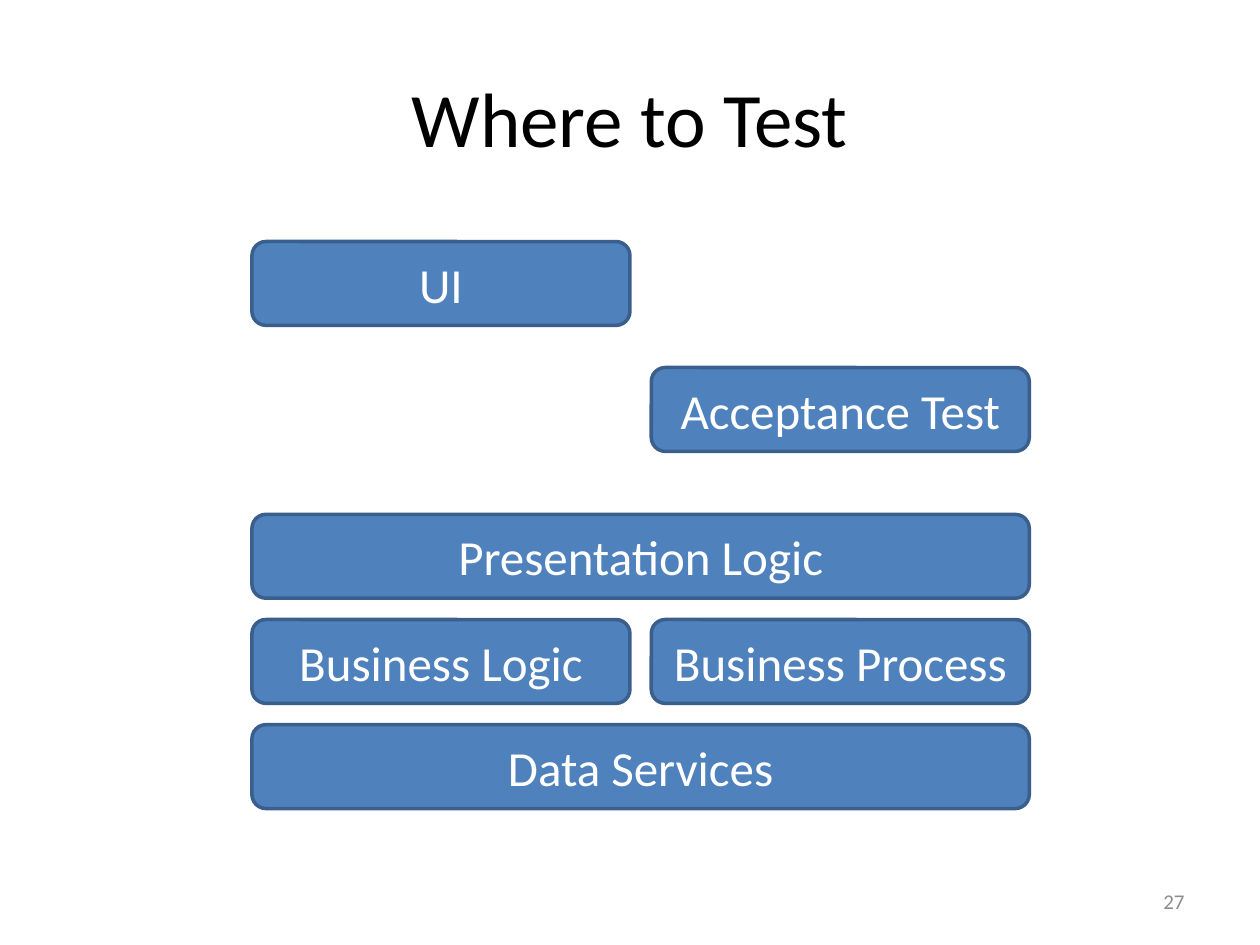
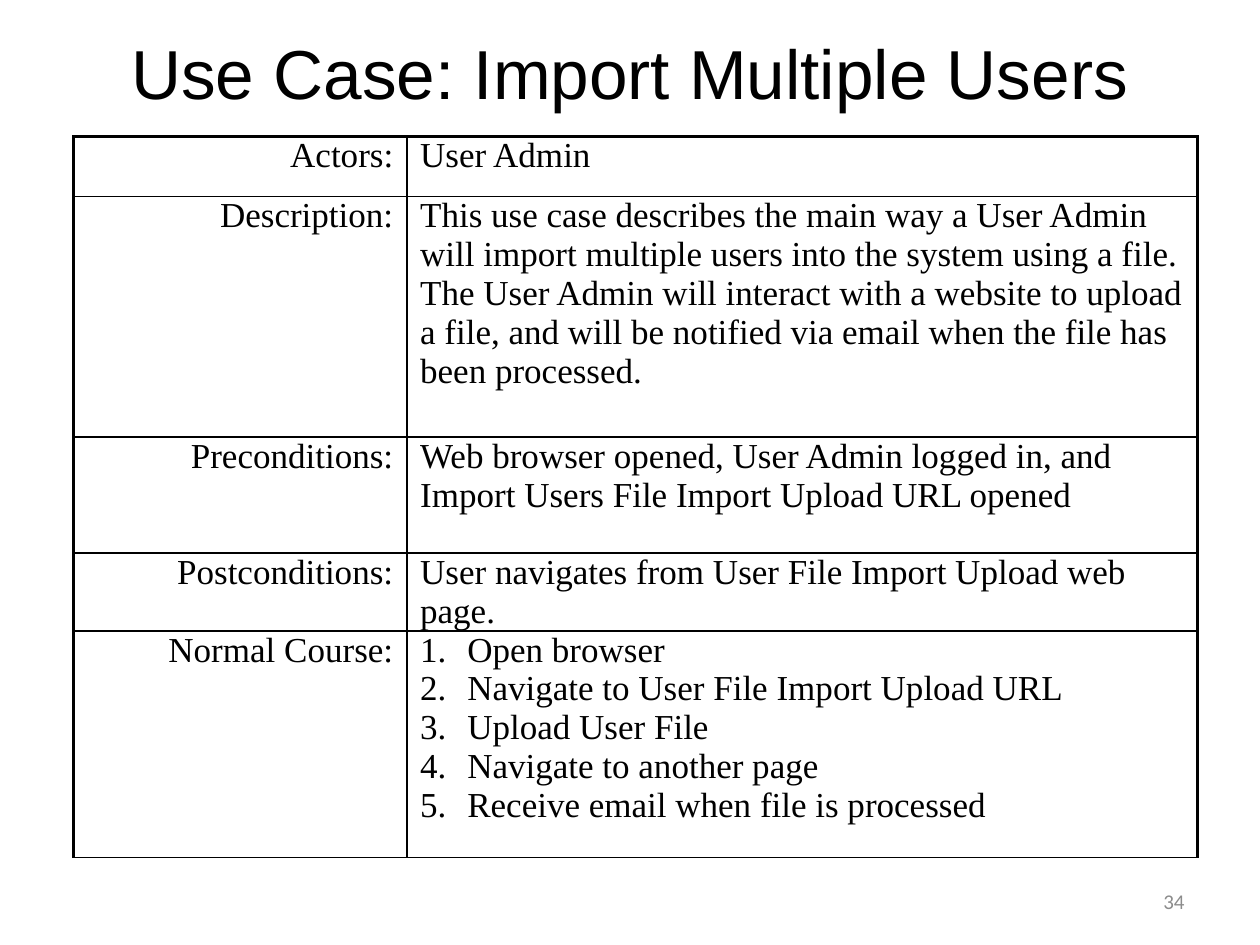
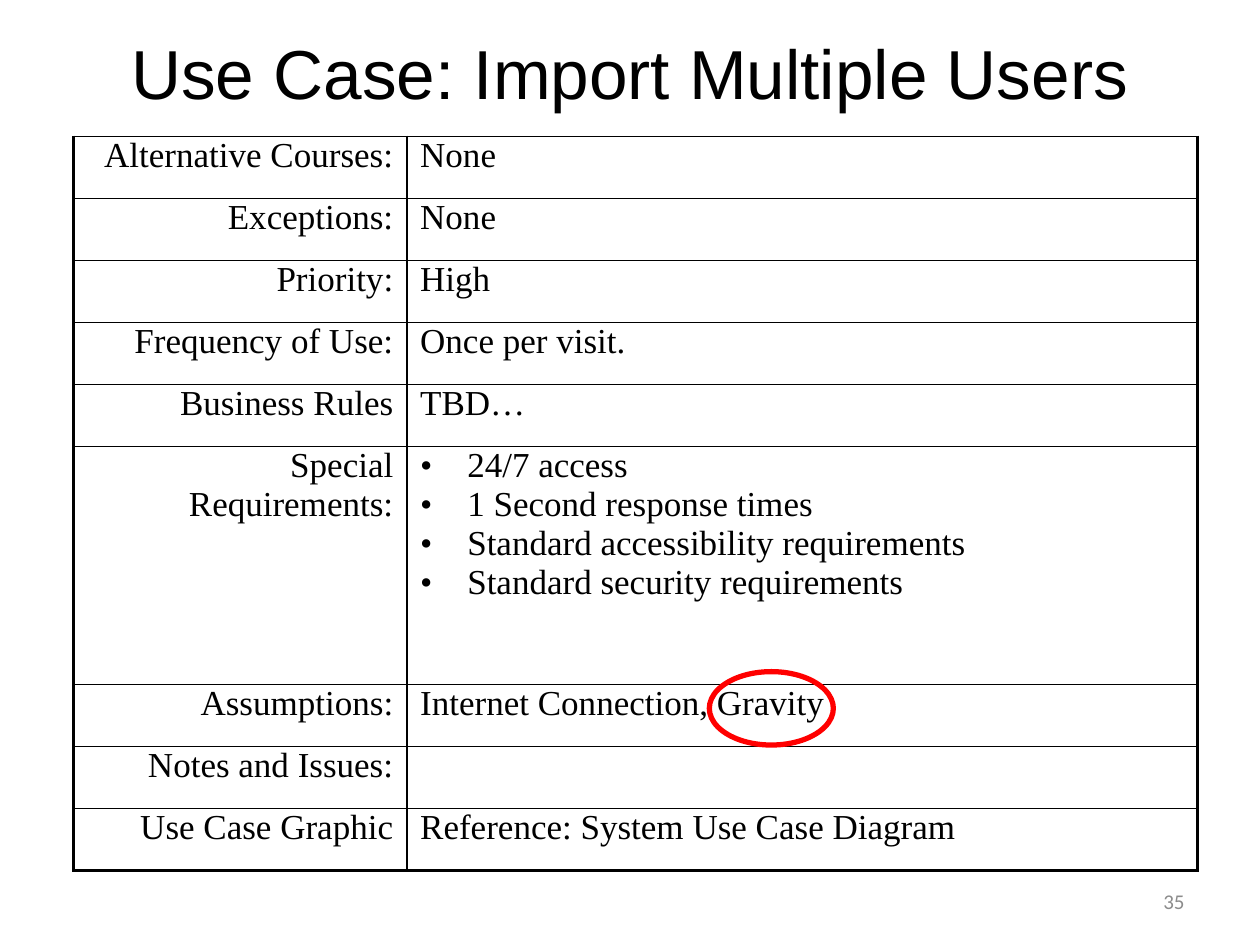
import dataclasses
import typing

import lxml.etree
import pptx
import pptx.dml.color
import pptx.enum.shapes
import pptx.enum.text
import pptx.oxml.ns
import pptx.presentation
import pptx.slide
import pptx.util

Cm = pptx.util.Cm
Pt = pptx.util.Pt
qn = pptx.oxml.ns.qn
Align = pptx.enum.text.PP_ALIGN
Preset = pptx.enum.shapes.MSO_SHAPE
MIDDLE = pptx.enum.text.MSO_ANCHOR.MIDDLE


class Style(typing.NamedTuple):
    font: str
    size: float
    color: str


class Area(typing.NamedTuple):
    """A rectangle in centimetres."""
    left: float
    top: float
    width: float
    height: float

    def lengths(self) -> list[pptx.util.Length]:
        return [Cm(value) for value in self]


@dataclasses.dataclass(frozen=True)
class Theme:
    title: Style = Style("Calibri", 44, "000000")
    use_case_title: Style = Style("Arial", 39.6, "000000")
    layer: Style = Style("Calibri", 28, "FFFFFF")
    field: Style = Style("Times New Roman", 20, "000000")
    number: Style = Style("Calibri", 12, "8C8C8C")
    layer_fill: str = "4F81BD"
    layer_line: str = "3A5F8C"
    rule: str = "000000"
    highlight: str = "FF0000"
    thin: float = 1
    thick: float = 1.5


THEME = Theme()
TITLE_AREA = Area(1.27, 0.76, 22.86, 3.18)
USE_CASE_TITLE_AREA = Area(1.27, 0.76, 22.86, 1.37)
NUMBER_AREA = Area(18.2, 17.65, 5.93, 1.02)

STACK_LEFT, LAYER_WIDTH, LAYER_HEIGHT, LAYER_GAP = 5.08, 7.62, 1.69, 0.43
UI_TOP, TEST_TOP, STACK_TOP = 4.87, 7.41, 10.37

TABLE_LEFT, TABLE_TOP = 1.48, 2.75
COLUMN_WIDTHS = (6.72, 15.94)
CELL_INSET, LIST_INDENT = 0.27, 0.95


class Layer(typing.NamedTuple):
    label: str
    top: float
    column: int = 0
    span: int = 1


class Field(typing.NamedTuple):
    label: str
    lines: tuple[str, ...]
    height: float
    bullet: tuple[str, str, str] | None = None


NUMBERED = ("a:buAutoNum", "type", "arabicPeriod")
DOTTED = ("a:buChar", "char", "•")


def stack_top(level: int) -> float:
    return STACK_TOP + level * (LAYER_HEIGHT + LAYER_GAP)


LAYERS = (
    Layer("UI", UI_TOP),
    Layer("Acceptance Test", TEST_TOP, column=1),
    Layer("Presentation Logic", stack_top(0), span=2),
    Layer("Business Logic", stack_top(1)),
    Layer("Data Services", stack_top(2), span=2),
    Layer("Business Process", stack_top(1), column=1),
)

MAIN_FIELDS = (
    Field("Actors:", ("User Admin",), 1.21),
    Field("Description:", (
        "This use case describes the main way a User Admin will import multiple users into "
        "the system using a file. The User Admin will interact with a website to upload a "
        "file, and will be notified via email when the file has been processed.",), 4.85),
    Field("Preconditions:", (
        "Web browser opened, User Admin logged in, and Import Users File Import Upload URL "
        "opened",), 2.34),
    Field("Postconditions:", ("User navigates from User File Import Upload web page.",), 1.21),
    Field("Normal Course:", (
        "Open browser",
        "Navigate to User File Import Upload URL",
        "Upload User File",
        "Navigate to another page",
        "Receive email when file is processed"), 4.57, NUMBERED),
)

# The requirements row leaves the table ending above the slide number.
SHORT_ROW, REQUIREMENTS_ROW = 1.25, 4.8
FURTHER_FIELDS = (
    Field("Alternative Courses:", ("None",), SHORT_ROW),
    Field("Exceptions:", ("None",), SHORT_ROW),
    Field("Priority:", ("High",), SHORT_ROW),
    Field("Frequency of Use:", ("Once per visit.",), SHORT_ROW),
    Field("Business Rules", ("TBD…",), SHORT_ROW),
    Field("Special Requirements:", (
        "24/7 access",
        "1 Second response times",
        "Standard accessibility requirements",
        "Standard security requirements"), REQUIREMENTS_ROW, DOTTED),
    Field("Assumptions:", ("Internet Connection, Gravity",), SHORT_ROW),
    Field("Notes and Issues:", (), SHORT_ROW),
    Field("Use Case Graphic", ("Reference: System Use Case Diagram",), SHORT_ROW),
)
ASSUMPTIONS_TOP = TABLE_TOP + 5 * SHORT_ROW + REQUIREMENTS_ROW
GRAVITY_AREA = Area(14.3, ASSUMPTIONS_TOP - 0.26, 2.5, 1.48)


def rgb(color: str) -> pptx.dml.color.RGBColor:
    return pptx.dml.color.RGBColor.from_string(color)


def write(paragraph, text: str, style: Style, align: Align) -> None:
    paragraph.alignment = align
    run = paragraph.add_run()
    run.text = text
    run.font.name = style.font
    run.font.size = Pt(style.size)
    run.font.color.rgb = rgb(style.color)


def add_slide(deck: pptx.presentation.Presentation, title: str, style: Style,
              area: Area) -> pptx.slide.Slide:
    slide = deck.slides.add_slide(deck.slide_layouts.get_by_name("Title Only"))
    heading = slide.shapes.title
    heading.left, heading.top, heading.width, heading.height = area.lengths()
    heading.text_frame.vertical_anchor = MIDDLE
    heading.text_frame.auto_size = pptx.enum.text.MSO_AUTO_SIZE.NONE
    write(heading.text_frame.paragraphs[0], title, style, Align.CENTER)
    return slide


def add_number(slide: pptx.slide.Slide, number: int) -> None:
    frame = slide.shapes.add_textbox(*NUMBER_AREA.lengths()).text_frame
    frame.word_wrap = True
    frame.vertical_anchor = MIDDLE
    write(frame.paragraphs[0], str(number), THEME.number, Align.RIGHT)


def add_outlined(slide: pptx.slide.Slide, preset: Preset, area: Area, color: str, weight: float):
    """Add an unfilled, shadowless preset shape."""
    shape = slide.shapes.add_shape(preset, *area.lengths())
    shape.shadow.inherit = False
    shape.fill.background()
    shape.line.color.rgb = rgb(color)
    shape.line.width = Pt(weight)
    return shape


def add_layer(slide: pptx.slide.Slide, layer: Layer) -> None:
    left = STACK_LEFT + layer.column * (LAYER_WIDTH + LAYER_GAP)
    width = layer.span * LAYER_WIDTH + (layer.span - 1) * LAYER_GAP
    area = Area(left, layer.top, width, LAYER_HEIGHT)
    box = add_outlined(slide, Preset.ROUNDED_RECTANGLE, area, THEME.layer_line, 2)
    box.fill.solid()
    box.fill.fore_color.rgb = rgb(THEME.layer_fill)
    box.text_frame.vertical_anchor = MIDDLE
    write(box.text_frame.paragraphs[0], layer.label, THEME.layer, Align.CENTER)


def set_borders(cell, weights: dict[str, float]) -> None:
    """Draw the cell's sides; weights must run in the order L, R, T, B."""
    properties = cell._tc.get_or_add_tcPr()
    for position, (side, weight) in enumerate(weights.items()):
        line = lxml.etree.Element(qn(f"a:ln{side}"), w=str(int(Pt(weight))))
        fill = lxml.etree.SubElement(line, qn("a:solidFill"))
        lxml.etree.SubElement(fill, qn("a:srgbClr"), val=THEME.rule)
        properties.insert(position, line)


def set_bullet(paragraph, bullet: tuple[str, str, str]) -> None:
    tag, attribute, value = bullet
    properties = paragraph._p.get_or_add_pPr()
    properties.set("marL", str(int(Cm(LIST_INDENT))))
    properties.set("indent", str(-int(Cm(LIST_INDENT))))
    lxml.etree.SubElement(properties, qn("a:buFont"), typeface=THEME.field.font)
    lxml.etree.SubElement(properties, qn(tag), {attribute: value})


def fill_cell(cell, lines: tuple[str, ...], align: Align,
              bullet: tuple[str, str, str] | None = None) -> None:
    cell.fill.background()
    cell.margin_left = cell.margin_right = Cm(CELL_INSET)
    cell.margin_top = cell.margin_bottom = Cm(0)
    frame = cell.text_frame
    for index, text in enumerate(lines):
        paragraph = frame.add_paragraph() if index else frame.paragraphs[0]
        write(paragraph, text, THEME.field, align)
        if bullet:
            set_bullet(paragraph, bullet)


def add_use_case(slide: pptx.slide.Slide, fields: tuple[Field, ...],
                 top_weight: float, bottom_weight: float) -> None:
    area = Area(TABLE_LEFT, TABLE_TOP, sum(COLUMN_WIDTHS), sum(f.height for f in fields))
    table = slide.shapes.add_table(len(fields), 2, *area.lengths()).table
    table.first_row = table.horz_banding = False
    for column, width in zip(table.columns, COLUMN_WIDTHS):
        column.width = Cm(width)
    for index, field in enumerate(fields):
        table.rows[index].height = Cm(field.height)
        label, content = table.cell(index, 0), table.cell(index, 1)
        fill_cell(label, (field.label,), Align.RIGHT)
        fill_cell(content, field.lines, Align.LEFT, field.bullet)
        top = top_weight if index == 0 else THEME.thin
        bottom = bottom_weight if index == len(fields) - 1 else THEME.thin
        set_borders(label, {"L": THEME.thick, "R": THEME.thin, "T": top, "B": bottom})
        set_borders(content, {"L": THEME.thin, "R": THEME.thick, "T": top, "B": bottom})


def main() -> None:
    deck = pptx.Presentation()
    deck.slide_width, deck.slide_height = Cm(25.4), Cm(19.05)

    where_to_test = add_slide(deck, "Where to Test", THEME.title, TITLE_AREA)
    for layer in LAYERS:
        add_layer(where_to_test, layer)
    add_number(where_to_test, 27)

    use_case = "Use Case: Import Multiple Users"
    main_part = add_slide(deck, use_case, THEME.use_case_title, USE_CASE_TITLE_AREA)
    add_use_case(main_part, MAIN_FIELDS, THEME.thick, THEME.thin)
    add_number(main_part, 34)

    further_part = add_slide(deck, use_case, THEME.use_case_title, USE_CASE_TITLE_AREA)
    add_use_case(further_part, FURTHER_FIELDS, THEME.thin, THEME.thick)
    add_outlined(further_part, Preset.OVAL, GRAVITY_AREA, THEME.highlight, 3)
    add_number(further_part, 35)

    deck.save("out.pptx")


if __name__ == "__main__":
    main()
